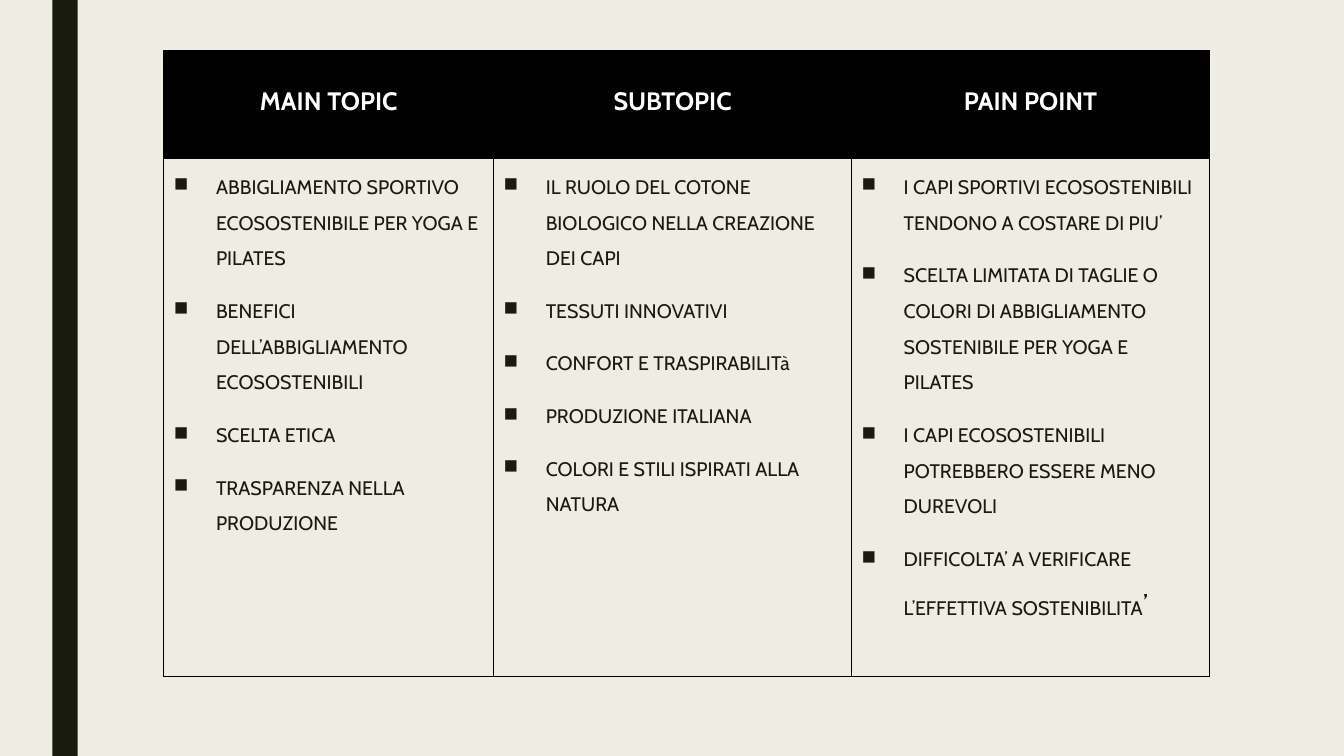
from pptx import Presentation
from pptx.dml.color import RGBColor
from pptx.enum.shapes import MSO_SHAPE as SHAPE
from pptx.enum.text import PP_ALIGN as ALIGN
from pptx.oxml import parse_xml
from pptx.oxml.ns import nsdecls
from pptx.util import Cm, Pt

INK, BLACK, WHITE, CREAM = "191B0E", "000000", "FFFFFF", "EFEDE3"

COLUMNS = [
    ("MAIN TOPIC", 8.31, [
        "ABBIGLIAMENTO SPORTIVO ECOSOSTENIBILE PER YOGA E PILATES",
        "BENEFICI DELL’ABBIGLIAMENTO ECOSOSTENIBILI",
        "SCELTA ETICA",
        "TRASPARENZA NELLA PRODUZIONE",
    ]),
    ("SUBTOPIC", 9.02, [
        "IL RUOLO DEL COTONE BIOLOGICO NELLA CREAZIONE DEI CAPI",
        "TESSUTI INNOVATIVI",
        "CONFORT E TRASPIRABILITà",
        "PRODUZIONE ITALIANA",
        "COLORI E STILI ISPIRATI ALLA NATURA",
    ]),
    ("PAIN POINT", 9.02, [
        "I CAPI SPORTIVI ECOSOSTENIBILI TENDONO A COSTARE DI PIU’",
        "SCELTA LIMITATA DI TAGLIE O COLORI DI ABBIGLIAMENTO SOSTENIBILE PER YOGA E PILATES",
        "I CAPI ECOSOSTENIBILI POTREBBERO ESSERE MENO DUREVOLI",
        "DIFFICOLTA’ A VERIFICARE L’EFFETTIVA SOSTENIBILITA",
    ]),
]
HEADER_HEIGHT, BODY_HEIGHT = Cm(2.72), Cm(13.06)


def color(hex_code):
    return RGBColor.from_string(hex_code)


def add_run(p, text, size, hex_code, bold=False):
    r = p.add_run()
    r.text = text
    r.font.name = "Cabin"
    r.font.size = Pt(size)
    r.font.bold = bold
    r.font.color.rgb = color(hex_code)


prs = Presentation()
prs.slide_width, prs.slide_height = Cm(33.87), Cm(19.05)
slide = prs.slides.add_slide(prs.slide_layouts[6])
slide.background.fill.solid()
slide.background.fill.fore_color.rgb = color(CREAM)

# Dark band at the left
sp = slide.shapes.add_shape(SHAPE.RECTANGLE, Cm(1.32), 0, Cm(0.64), prs.slide_height)
sp.shadow.inherit = False
sp.fill.solid()
sp.fill.fore_color.rgb = color(INK)
sp.line.fill.background()

# Table frame
width = Cm(sum(w for _, w, _ in COLUMNS))
table = slide.shapes.add_table(2, len(COLUMNS), Cm(4.13), Cm(1.27), width,
                               HEADER_HEIGHT + BODY_HEIGHT).table
table.horz_banding = False
table.rows[0].height, table.rows[1].height = HEADER_HEIGHT, BODY_HEIGHT

for i, (heading, col_width, items) in enumerate(COLUMNS):
    table.columns[i].width = Cm(col_width)
    head, body = table.cell(0, i), table.cell(1, i)

    # Heading
    head.fill.solid()
    head.fill.fore_color.rgb = color(BLACK)
    p = head.text_frame.paragraphs[0]
    p.alignment = ALIGN.CENTER
    p.line_spacing = 2.0
    add_run(p, heading, 18, WHITE, bold=True)

    # Bulleted items
    body.fill.background()
    tf = body.text_frame
    for n, item in enumerate(items):
        p = tf.add_paragraph() if n else tf.paragraphs[0]
        p.line_spacing = 1.5
        p.space_before, p.space_after = Pt(10), Pt(2)
        add_run(p, item, 14, INK)
        pPr = p._p.get_or_add_pPr()
        pPr.set("marL", str(Cm(1.06)))
        pPr.set("indent", str(-Cm(1.06)))
        pPr.append(parse_xml(f'<a:buChar {nsdecls("a")} char="■"/>'))

    # Cell borders, which come before the fill
    for cell in (head, body):
        tcPr = cell._tc.get_or_add_tcPr()
        for k, side in enumerate(("lnL", "lnR", "lnT", "lnB")):
            tcPr.insert(k, parse_xml(
                f'<a:{side} {nsdecls("a")} w="{Pt(1)}"><a:solidFill>'
                f'<a:srgbClr val="{BLACK}"/></a:solidFill></a:{side}>'))

# Larger closing apostrophe after the last item
add_run(p, "’", 20, INK)

prs.save("out.pptx")
